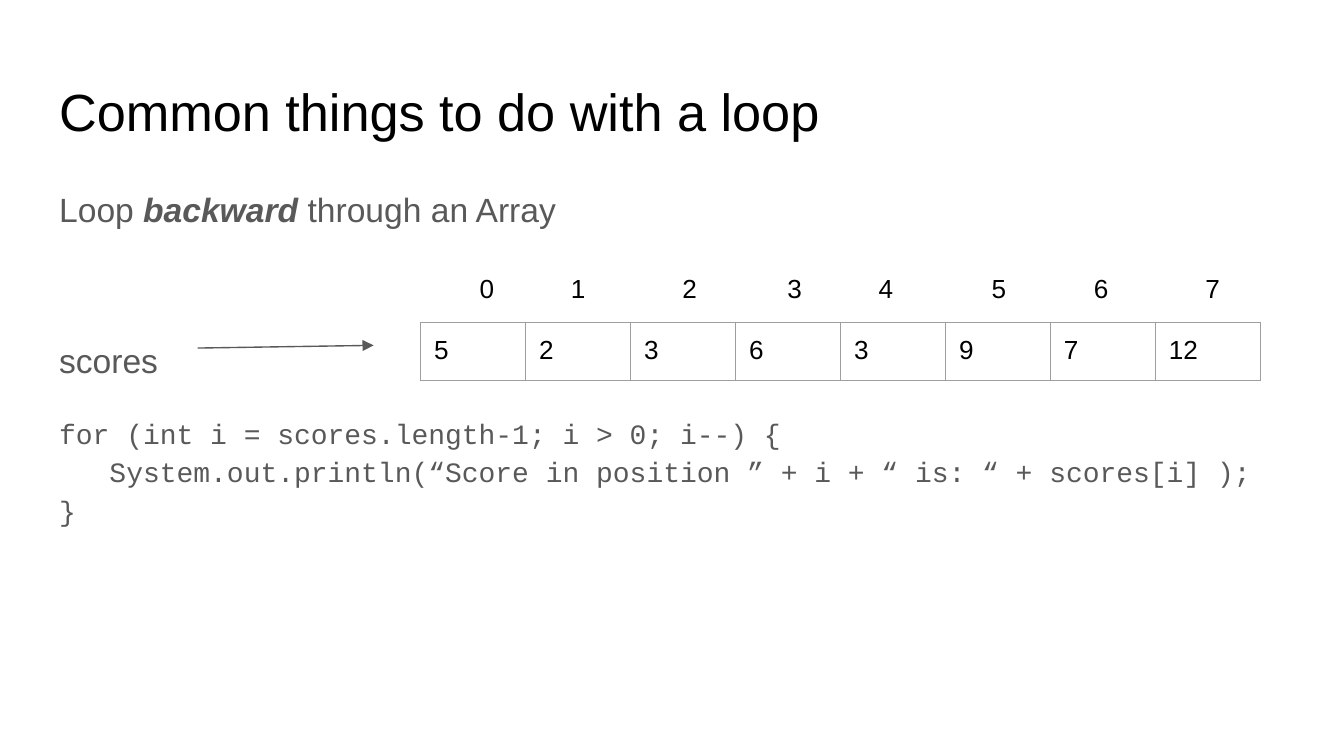
from lxml import etree
from pptx import Presentation
from pptx.dml.color import RGBColor
from pptx.enum.shapes import MSO_CONNECTOR
from pptx.enum.text import MSO_ANCHOR, MSO_AUTO_SIZE, PP_ALIGN
from pptx.oxml.ns import qn
from pptx.util import Inches, Pt

STRAIGHT = MSO_CONNECTOR.STRAIGHT
TOP = MSO_ANCHOR.TOP
NO_AUTOFIT = MSO_AUTO_SIZE.NONE
LEFT = PP_ALIGN.LEFT

BLACK = RGBColor(0, 0, 0)
GRAY = RGBColor(0x59, 0x59, 0x59)
BORDER = RGBColor(0x9E, 0x9E, 0x9E)
SANS = "Arial"
MONO = "Courier New"

TITLE = "Common things to do with a loop"
CODE = """for (int i = scores.length-1; i > 0; i--) {
   System.out.println(“Score in position ” + i + “ is: “ + scores[i] );
}"""
BODY = [
    {"spans": [("Loop ", False), ("backward ", True), ("through an Array", False)],
     "font": SANS, "size": 18, "before": 0, "spacing": 1.15},
    {"spans": [("scores", False)],
     "font": SANS, "size": 18, "before": 56, "spacing": 1.15},
    {"spans": [(CODE, False)],
     "font": MONO, "size": 15, "before": 16.5, "spacing": Pt(20.8)},
]
SCORES = [5, 2, 3, 6, 3, 9, 7, 12]
INDEX_LEFTS = [3.47, 4.15, 4.98, 5.76, 6.44, 7.28, 8.04, 8.87]
TABLE_WIDTH = 6.25


def set_font(para, name, size, color):
    para.font.name = name
    para.font.size = Pt(size)
    para.font.color.rgb = color


def prepare(frame):
    frame.word_wrap = True
    frame.auto_size = NO_AUTOFIT
    frame.vertical_anchor = TOP
    frame.margin_left = frame.margin_right = Inches(0.1)
    frame.margin_top = frame.margin_bottom = Inches(0.1)


def place(shape, left, top, width, height):
    shape.left, shape.top = Inches(left), Inches(top)
    shape.width, shape.height = Inches(width), Inches(height)
    prepare(shape.text_frame)


def add_borders(cell):
    properties = cell._tc.get_or_add_tcPr()
    for position, side in enumerate(("a:lnL", "a:lnR", "a:lnT", "a:lnB")):
        line = etree.Element(qn(side), w=str(Pt(0.75)))
        fill = etree.SubElement(line, qn("a:solidFill"))
        etree.SubElement(fill, qn("a:srgbClr"), val=str(BORDER))
        properties.insert(position, line)


deck = Presentation()
deck.slide_width = Inches(10)
deck.slide_height = deck.slide_width * 9 // 16
page = deck.slides.add_slide(deck.slide_layouts[1])

title = page.shapes.title
place(title, 0.34, 0.49, 9.32, 0.63)
title.text_frame.text = TITLE
heading = title.text_frame.paragraphs[0]
heading.alignment = LEFT
set_font(heading, SANS, 28, BLACK)

body = page.placeholders[1]
place(body, 0.34, 1.26, 9.32, 3.74)
for number, item in enumerate(BODY):
    frame = body.text_frame
    para = frame.add_paragraph() if number else frame.paragraphs[0]
    set_font(para, item["font"], item["size"], GRAY)
    para.line_spacing = item["spacing"]
    para.space_before, para.space_after = Pt(item["before"]), Pt(0)
    properties = para._p.get_or_add_pPr()
    properties.set("marL", "0")
    properties.set("indent", "0")
    bullet = etree.Element(qn("a:buNone"))
    properties.find(qn("a:defRPr")).addprevious(bullet)
    for words, emphasized in item["spans"]:
        for row, text in enumerate(words.split("\n")):
            if row:
                para.add_line_break()
            span = para.add_run()
            span.text = text
            if emphasized:
                span.font.bold = span.font.italic = True

table = page.shapes.add_table(
    1, len(SCORES), Inches(3.13), Inches(2.4), Inches(TABLE_WIDTH), Inches(0.43)
).table
table.first_row = table.horz_banding = False
for column, score in enumerate(SCORES):
    cell = table.cell(0, column)
    cell.margin_left = cell.margin_right = Inches(0.1)
    cell.margin_top = cell.margin_bottom = Inches(0.1)
    cell.fill.background()
    add_borders(cell)
    cell.text = str(score)
    set_font(cell.text_frame.paragraphs[0], SANS, 14, BLACK)

for index, left in enumerate(INDEX_LEFTS):
    box = page.shapes.add_textbox(0, 0, 0, 0)
    place(box, left, 1.93, 0.4, 0.26)
    box.text_frame.text = str(index)
    set_font(box.text_frame.paragraphs[0], SANS, 14, BLACK)

arrow = page.shapes.add_connector(
    STRAIGHT, Inches(1.47), Inches(2.59), Inches(2.78), Inches(2.57)
)
arrow.line.color.rgb = GRAY
arrow.line.width = Pt(0.75)
etree.SubElement(arrow.line._get_or_add_ln(), qn("a:tailEnd"), type="triangle")
etree.SubElement(arrow._element.spPr, qn("a:effectLst"))

deck.save("out.pptx")
